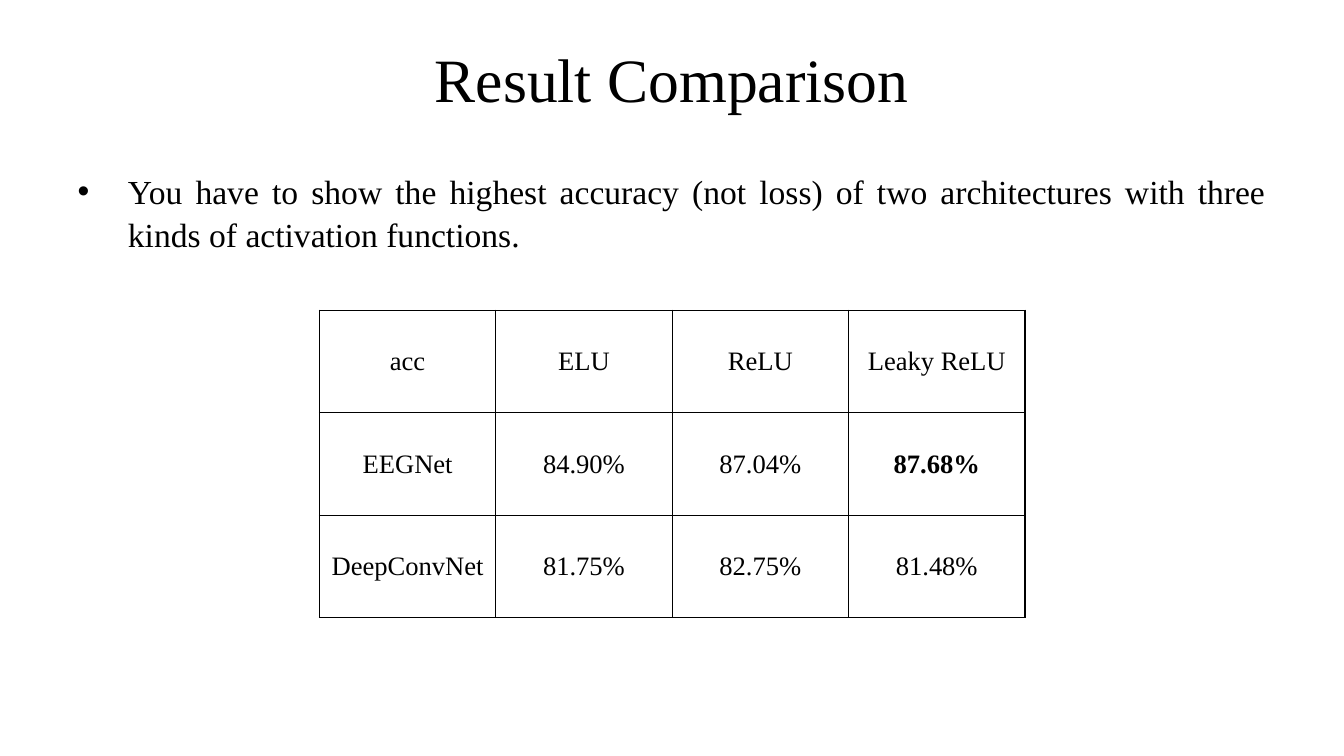
from dataclasses import dataclass, field

from lxml import etree
from pptx import Presentation
from pptx import util as u
from pptx.dml.color import RGBColor
from pptx.enum import text
from pptx.oxml import ns

COLORS = {"ink": "000000"}
FONT = "Times New Roman"
SLIDE_WIDTH, SLIDE_HEIGHT = 33.87, 19.05


@dataclass
class Box:
    left: float
    top: float
    width: float
    height: float

    def lengths(self) -> list:
        return [u.Cm(n) for n in (self.left, self.top, self.width, self.height)]


@dataclass
class Passage:
    wording: str
    box: Box
    size: float
    bullet: str = ""
    frame: dict = field(default_factory=dict)
    paragraph: dict = field(default_factory=dict)


@dataclass
class Score:
    label: str
    bold: bool = False


def apply(target, values: dict) -> None:
    for name, value in values.items():
        setattr(target, name, value)


def format_font(font, size: float, bold: bool = False) -> None:
    apply(font, {"name": FONT, "size": u.Pt(size), "bold": bold})
    font.color.rgb = RGBColor.from_string(COLORS["ink"])


def add_bullet(paragraph, mark: str) -> None:
    properties = paragraph._p.get_or_add_pPr()
    properties.set("marL", str(u.Cm(1.27)))
    properties.set("indent", str(-u.Cm(1.27)))
    etree.SubElement(properties, ns.qn("a:buFont")).set("typeface", "Arial")
    etree.SubElement(properties, ns.qn("a:buChar")).set("char", mark)


def fill_placeholder(placeholder, passage: Passage) -> None:
    apply(placeholder, dict(zip(("left", "top", "width", "height"), passage.box.lengths())))
    frame = placeholder.text_frame
    frame.text = passage.wording
    apply(frame, {"word_wrap": True, **passage.frame})
    paragraph = frame.paragraphs[0]
    if passage.bullet:
        add_bullet(paragraph, passage.bullet)
    apply(paragraph, {"space_before": u.Pt(0), **passage.paragraph})
    format_font(paragraph.runs[0].font, passage.size)


def add_borders(cell) -> None:
    properties = cell._tc.get_or_add_tcPr()
    for index, side in enumerate(("lnL", "lnR", "lnT", "lnB")):
        line = etree.Element(ns.qn(f"a:{side}"), w=str(u.Pt(1)))
        solid = etree.SubElement(line, ns.qn("a:solidFill"))
        etree.SubElement(solid, ns.qn("a:srgbClr")).set("val", COLORS["ink"])
        properties.insert(index, line)


def fill_cell(cell, score: Score) -> None:
    cell.text = score.label
    cell.vertical_anchor = text.MSO_ANCHOR.MIDDLE
    cell.fill.background()
    add_borders(cell)
    paragraph = cell.text_frame.paragraphs[0]
    paragraph.alignment = text.PP_ALIGN.CENTER
    format_font(paragraph.runs[0].font, 19, score.bold)


def add_accuracy_table(slide, rows: list[list[Score]], box: Box) -> None:
    accuracy = slide.shapes.add_table(len(rows), len(rows[0]), *box.lengths()).table
    apply(accuracy, {"first_row": False, "horz_banding": False})
    for r, scores in enumerate(rows):
        for c, score in enumerate(scores):
            fill_cell(accuracy.cell(r, c), score)


HEADING = Passage(
    "Result Comparison",
    Box(0, 0.03, SLIDE_WIDTH, 4.09),
    44,
    frame={"vertical_anchor": text.MSO_ANCHOR.MIDDLE, "auto_size": text.MSO_AUTO_SIZE.NONE},
    paragraph={"alignment": text.PP_ALIGN.CENTER, "line_spacing": 0.9},
)
REQUIREMENT = Passage(
    "You have to show the highest accuracy (not loss) of two architectures "
    "with three kinds of activation functions.",
    Box(1.7, 4.11, 30.45, 3.48),
    24,
    bullet="•",
    frame={
        "vertical_anchor": text.MSO_ANCHOR.TOP,
        "auto_size": text.MSO_AUTO_SIZE.SHAPE_TO_FIT_TEXT,
    },
    paragraph={"alignment": text.PP_ALIGN.JUSTIFY, "line_spacing": 1.07},
)
ACCURACIES = [
    [Score("acc"), Score("ELU"), Score("ReLU"), Score("Leaky ReLU")],
    [Score("EEGNet"), Score("84.90%"), Score("87.04%"), Score("87.68%", bold=True)],
    [Score("DeepConvNet"), Score("81.75%"), Score("82.75%"), Score("81.48%")],
]


def main() -> None:
    deck = Presentation()
    apply(deck, {"slide_width": u.Cm(SLIDE_WIDTH), "slide_height": u.Cm(SLIDE_HEIGHT)})
    slide = deck.slides.add_slide(deck.slide_layouts[1])
    fill_placeholder(slide.shapes.title, HEADING)
    fill_placeholder(slide.placeholders[1], REQUIREMENT)
    add_accuracy_table(slide, ACCURACIES, Box(8.05, 7.82, 17.78, 7.75))
    deck.save("out.pptx")


if __name__ == "__main__":
    main()
